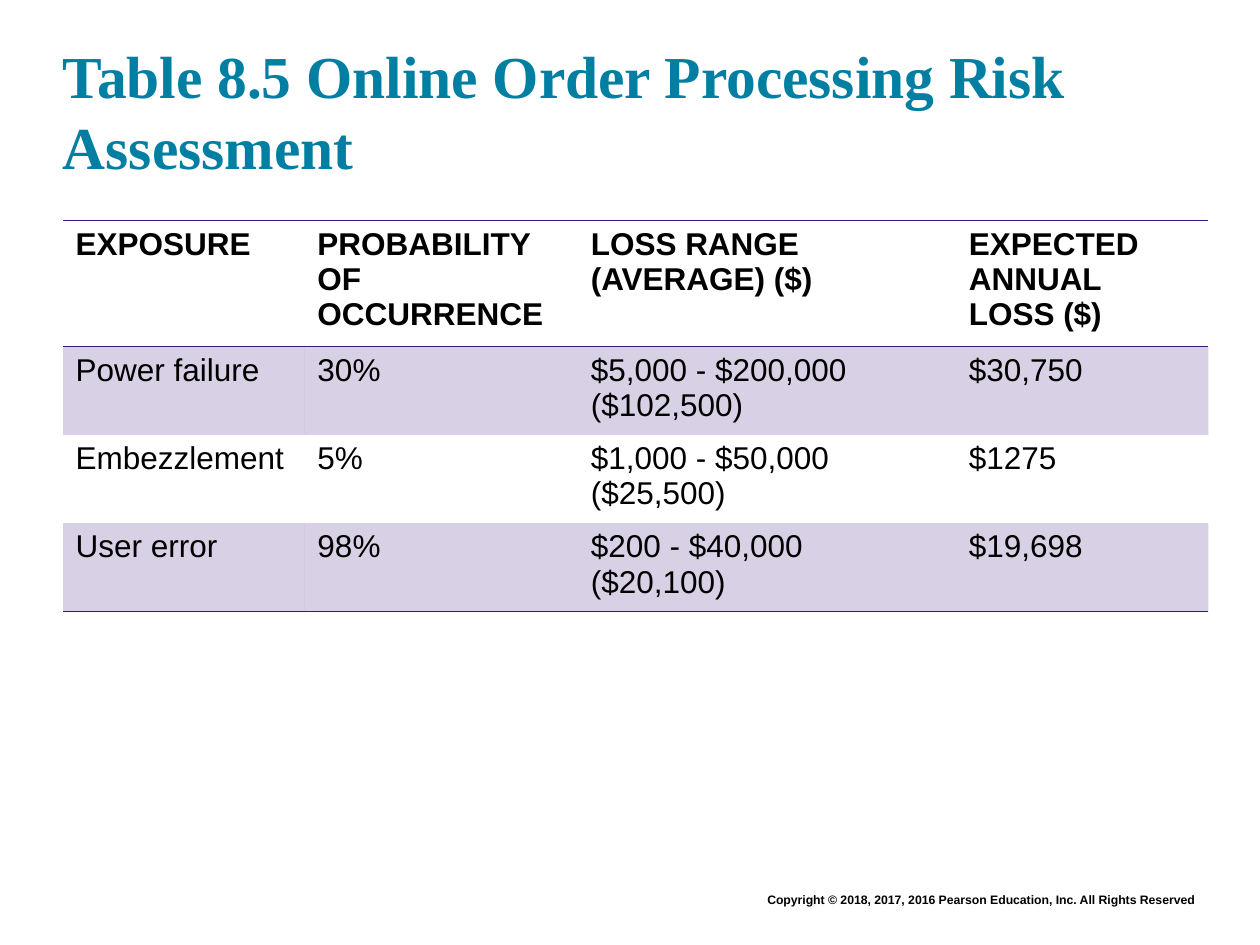
from lxml.etree import SubElement as Sub
from pptx import Presentation
from pptx.dml.color import RGBColor as Rgb
from pptx.enum.text import MSO_ANCHOR as Anchor, PP_ALIGN as Align
from pptx.oxml.ns import qn
from pptx.util import Pt

INK, TEAL, PURPLE = "000000", "007FA3", "3C1581"
PLAIN = "{2D5ABB26-0587-4C30-8999-92F81FD0307C}"
COLS = [138.24, 156.24, 216, 144]
ROWS = [
    ["EXPOSURE", "PROBABILITY OF OCCURRENCE", "LOSS RANGE\n(AVERAGE) ($)", "EXPECTED ANNUAL LOSS ($)"],
    ["Power failure", "30%", "$5,000 - $200,000\n($102,500)", "$30,750"],
    ["Embezzlement", "5%", "$1,000 - $50,000\n($25,500)", "$1275"],
    ["User error", "98%", "$200 - $40,000 ($20,100)", "$19,698"],
]


def paint(code):
    return Rgb.from_string(code)


class Deck:
    """Holds the style and the current slide, and draws its elements."""

    def __init__(self):
        self.show = Presentation()
        self.show.slide_width, self.show.slide_height = Pt(720), Pt(540)
        self.slide = self.show.slides.add_slide(self.show.slide_layouts[6])

    def style(self, frame, size, face="Arial", color=INK, bold=True, align=Align.LEFT):
        for para in frame.paragraphs:
            para.alignment = align
            for run in para.runs:
                font = run.font
                font.size, font.name, font.bold = Pt(size), face, bold
                font.color.rgb = paint(color)

    def text(self, words, left, top, width, height, size, inset=None, anchor=Anchor.TOP, **look):
        box = self.slide.shapes.add_textbox(Pt(left), Pt(top), Pt(width), Pt(height))
        frame = box.text_frame
        frame.word_wrap, frame.vertical_anchor = True, anchor
        if inset is not None:
            frame.margin_left = frame.margin_right = Pt(inset)
            frame.margin_top = frame.margin_bottom = Pt(inset)
        frame.text = words
        self.style(frame, size, **look)

    def edge(self, cell, side):
        line = Sub(cell._tc.get_or_add_tcPr(), qn("a:" + side), w=str(Pt(1)))
        Sub(Sub(line, qn("a:solidFill")), qn("a:srgbClr"), val=PURPLE)

    def tint(self, cell, share):
        cell.fill.solid()
        cell.fill.fore_color.rgb = paint(PURPLE)
        color = cell._tc.tcPr.find(qn("a:solidFill")).find(qn("a:srgbClr"))
        Sub(color, qn("a:alpha"), val=str(share * 1000))

    def table(self, rows, cols, left, top, height, step):
        shape = self.slide.shapes.add_table(
            len(rows), len(cols), Pt(left), Pt(top), Pt(sum(cols)), Pt(height))
        grid = shape.table
        grid._tbl.tblPr.find(qn("a:tableStyleId")).text = PLAIN
        for col, width in zip(grid.columns, cols):
            col.width = Pt(width)
        for r, row in enumerate(rows):
            grid.rows[r].height = Pt(step)
            for c, words in enumerate(row):
                cell = grid.cell(r, c)
                cell.text_frame.text = words
                self.style(cell.text_frame, 18, bold=r == 0)
                if r == 0:
                    self.edge(cell, "lnT")
                if r in (0, len(rows) - 1):
                    self.edge(cell, "lnB")
                if r % 2:
                    self.tint(cell, 20)
                else:
                    cell.fill.background()
        shape.height = Pt(height)


def main():
    deck = Deck()
    deck.text("Copyright © 2018, 2017, 2016 Pearson Education, Inc. All Rights Reserved",
              126, 506.2, 563.8, 15.8, 7, align=Align.RIGHT)
    deck.text("Table 8.5 Online Order Processing Risk Assessment", 36, 17.3, 648, 86.4, 34,
              inset=0, anchor=Anchor.BOTTOM, face="Times New Roman", color=TEAL)
    deck.table(ROWS, COLS, 36, 126, 223.2, 29.5)
    deck.show.save("out.pptx")


if __name__ == "__main__":
    main()
